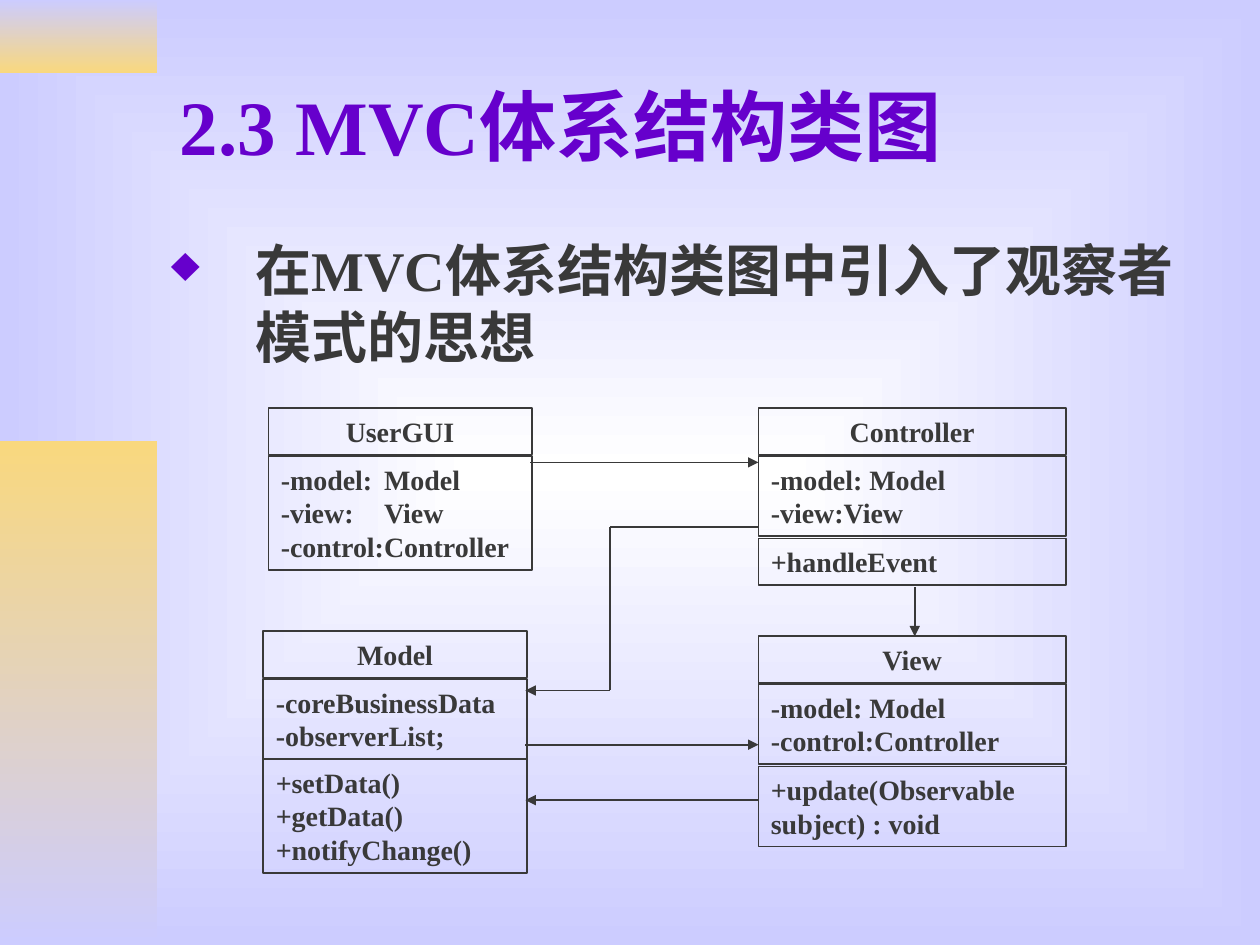
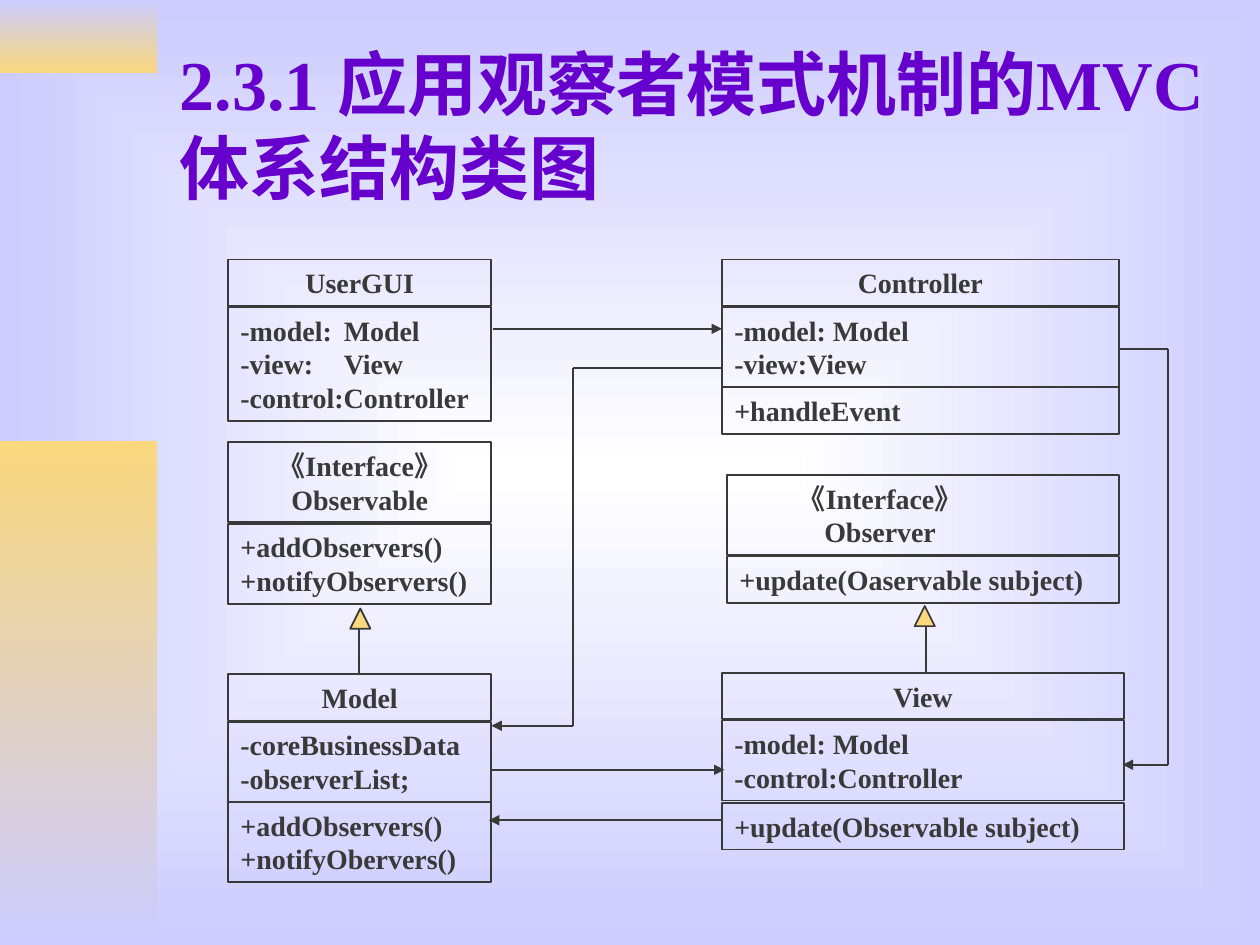
from itertools import pairwise

from lxml import etree
from pptx import Presentation
from pptx.dml.color import RGBColor
from pptx.enum.shapes import MSO_CONNECTOR, MSO_SHAPE
from pptx.enum.text import MSO_ANCHOR, PP_ALIGN
from pptx.oxml.ns import qn
from pptx.util import Inches, Pt

# Shared look
FONT = "Times New Roman"
WHITE = RGBColor(0xFF, 0xFF, 0xFF)
LAVENDER = RGBColor(0xCC, 0xCC, 0xFF)
GOLD = RGBColor(0xF9, 0xD8, 0x7E)
PURPLE = RGBColor(0x66, 0x00, 0xCC)
DARK = RGBColor(0x39, 0x39, 0x39)
LINE_WIDTH = Pt(1)

RECTANGLE = MSO_SHAPE.RECTANGLE
TRIANGLE = MSO_SHAPE.ISOSCELES_TRIANGLE
STRAIGHT = MSO_CONNECTOR.STRAIGHT
LEFT, CENTER = PP_ALIGN.LEFT, PP_ALIGN.CENTER
TOP, MIDDLE = MSO_ANCHOR.TOP, MSO_ANCHOR.MIDDLE

# Class box measures, in inches
ROW_HEIGHT = 0.268
BOX_PADDING = 0.1
HEADING_GAP = 0.01
TYPE_TAB = 0.82
ARROWHEAD_SIZE = 0.16

USER_GUI_FIELDS = ["-model:\tModel", "-view:\tView", "-control:Controller"]
CONTROLLER_FIELDS = ["-model: Model", "-view:View"]
MODEL_FIELDS = ["-coreBusinessData", "-observerList;"]
VIEW_FIELDS = ["-model: Model", "-control:Controller"]


def add_xml(parent, tag, **attributes):
    return etree.SubElement(parent, qn(tag), attributes)


def set_gradient(fill, first, last):
    fill.gradient()
    for stop, color in zip(fill.gradient_stops, (first, last)):
        stop.color.rgb = color


def add_run(paragraph, text, size, color):
    run = paragraph.add_run()
    run.text = text
    run.font.name = FONT
    run.font.size = Pt(size)
    run.font.bold = True
    run.font.color.rgb = color


def add_band(slide, top, height, first, last):
    band = slide.shapes.add_shape(
        RECTANGLE, 0, Inches(top), Inches(1.25), Inches(height))
    band.shadow.inherit = False
    band.line.fill.background()
    set_gradient(band.fill, first, last)
    band.fill.gradient_angle = 270


def set_background(slide):
    set_gradient(slide.background.fill, WHITE, LAVENDER)
    gradient = slide.element.xpath("p:cSld/p:bg//a:gradFill")[0]
    gradient.remove(gradient.find(qn("a:lin")))
    center = add_xml(gradient, "a:path", path="rect")
    add_xml(center, "a:fillToRect", l="50000", t="50000", r="50000", b="50000")


def add_text_box(slide, left, top, width, height, anchor):
    box = slide.shapes.add_textbox(
        Inches(left), Inches(top), Inches(width), Inches(height))
    box.text_frame.word_wrap = True
    box.text_frame.vertical_anchor = anchor
    return box.text_frame.paragraphs[0]


def add_base_slide(presentation, title, title_size):
    slide = presentation.slides.add_slide(presentation.slide_layouts[6])
    set_background(slide)
    add_band(slide, 0, 0.58, LAVENDER, GOLD)
    add_band(slide, 3.5, 4, GOLD, LAVENDER)
    paragraph = add_text_box(slide, 1.33, 0.33, 8.5, 1.32, MIDDLE)
    add_run(paragraph, title, title_size, PURPLE)
    return slide


def add_bullet(slide, text):
    paragraph = add_text_box(slide, 1.26, 1.82, 8.5, 1.26, TOP)
    properties = paragraph._p.get_or_add_pPr()
    indent = Inches(0.67)
    properties.set("marL", str(indent))
    properties.set("indent", str(-indent))
    bullet_color = add_xml(properties, "a:buClr")
    add_xml(bullet_color, "a:srgbClr", val=str(PURPLE))
    add_xml(properties, "a:buSzPct", val="90000")
    add_xml(properties, "a:buChar", char="♦")
    add_run(paragraph, text, 32, DARK)


def add_compartment(slide, left, top, width, lines, align=LEFT, rows=None,
                    first_line_margin=0):
    """Draw one outlined part of a class box and return its bottom edge."""
    height = BOX_PADDING + ROW_HEIGHT * (rows or len(lines))
    shape = slide.shapes.add_shape(
        RECTANGLE, Inches(left), Inches(top), Inches(width), Inches(height))
    shape.shadow.inherit = False
    shape.fill.background()
    shape.line.color.rgb = DARK
    shape.line.width = LINE_WIDTH
    frame = shape.text_frame
    frame.word_wrap = True
    frame.vertical_anchor = TOP
    for index, line in enumerate(lines):
        paragraph = frame.add_paragraph() if index else frame.paragraphs[0]
        paragraph.alignment = align
        properties = paragraph._p.get_or_add_pPr()
        if index == 0 and first_line_margin:
            properties.set("marR", str(Inches(first_line_margin)))
        if "\t" in line:
            tabs = add_xml(properties, "a:tabLst")
            add_xml(tabs, "a:tab", pos=str(Inches(TYPE_TAB)), algn="l")
        add_run(paragraph, line, 16, DARK)
    return top + height


def add_class(slide, left, top, width, heading, members, operations=(),
              operations_gap=0, operation_rows=None, first_line_margin=0):
    bottom = add_compartment(slide, left, top, width, heading, CENTER,
                             first_line_margin=first_line_margin)
    bottom = add_compartment(slide, left, bottom + HEADING_GAP, width, members)
    if operations:
        add_compartment(slide, left, bottom + operations_gap, width,
                        operations, rows=operation_rows)


def add_route(slide, *points, arrow=True):
    """Join the points with straight lines, the last one ending in an arrow."""
    for start, end in pairwise(points):
        line = slide.shapes.add_connector(
            STRAIGHT, *(Inches(value) for value in start + end))
        line.line.color.rgb = DARK
        line.line.width = LINE_WIDTH
        if arrow and end == points[-1]:
            add_xml(line.line._get_or_add_ln(), "a:tailEnd", type="triangle")
        add_xml(line._element.spPr, "a:effectLst")


def add_inheritance(slide, left, top, line_x, line_bottom):
    head = slide.shapes.add_shape(
        TRIANGLE, Inches(left), Inches(top),
        Inches(ARROWHEAD_SIZE), Inches(ARROWHEAD_SIZE))
    head.shadow.inherit = False
    head.fill.solid()
    head.fill.fore_color.rgb = GOLD
    head.line.color.rgb = DARK
    head.line.width = LINE_WIDTH
    add_route(slide, (line_x, top + ARROWHEAD_SIZE), (line_x, line_bottom),
              arrow=False)


def build_mvc_slide(presentation):
    slide = add_base_slide(presentation, "2.3 MVC体系结构类图", 44)
    add_bullet(slide, "在MVC体系结构类图中引入了观察者模式的思想")

    # Classes
    add_class(slide, 2.13, 3.24, 2.09, ["UserGUI"], USER_GUI_FIELDS)
    add_class(slide, 2.09, 5.01, 2.09, ["Model"], MODEL_FIELDS,
              ["+setData()", "+getData()", "+notifyChange()"])
    add_class(slide, 6.02, 3.24, 2.44, ["Controller"], CONTROLLER_FIELDS,
              ["+handleEvent"], operations_gap=0.02)
    add_class(slide, 6.02, 5.05, 2.44, ["View"], VIEW_FIELDS,
              ["+update(Observable subject) : void"],
              operations_gap=0.02, operation_rows=2)

    # Associations
    add_route(slide, (4.21, 3.67), (6.02, 3.67))
    add_route(slide, (7.26, 4.66), (7.26, 5.05))
    add_route(slide, (4.17, 5.91), (6.02, 5.91))
    add_route(slide, (6.02, 6.35), (4.17, 6.35))
    add_route(slide, (6.02, 4.18), (4.84, 4.18), (4.84, 5.48), (4.17, 5.48))


def build_observer_slide(presentation):
    slide = add_base_slide(
        presentation, "2.3.1 应用观察者模式机制的MVC体系结构类图", 40)

    # Classes
    add_class(slide, 1.81, 2.06, 2.09, ["UserGUI"], USER_GUI_FIELDS)
    add_class(slide, 1.81, 5.35, 2.09, ["Model"], MODEL_FIELDS,
              ["+addObservers()", "+notifyObervers()"])
    add_class(slide, 5.73, 2.06, 3.15, ["Controller"], CONTROLLER_FIELDS,
              ["+handleEvent"])
    add_class(slide, 5.73, 5.34, 3.19, ["View"], VIEW_FIELDS,
              ["+update(Observable subject)"], operations_gap=0.02)

    # Interfaces
    add_class(slide, 1.81, 3.51, 2.09, ["《Interface》", "Observable"],
              ["+addObservers()", "+notifyObservers()"])
    add_class(slide, 5.77, 3.77, 3.11, ["《Interface》", "Observer"],
              ["+update(Oaservable subject)"], first_line_margin=0.68)
    add_inheritance(slide, 2.78, 4.83, 2.85, 5.35)
    add_inheritance(slide, 7.26, 4.81, 7.35, 5.33)

    # Associations
    add_route(slide, (3.91, 2.61), (5.73, 2.61))
    add_route(slide, (3.9, 6.11), (5.75, 6.11))
    add_route(slide, (5.73, 6.51), (3.88, 6.51))
    add_route(slide, (5.73, 2.92), (4.55, 2.92), (4.55, 5.76), (3.9, 5.76))
    add_route(slide, (8.88, 2.77), (9.27, 2.77), (9.27, 6.07), (8.91, 6.07))


def main():
    presentation = Presentation()
    presentation.slide_width = Inches(10)
    presentation.slide_height = Inches(7.5)
    build_mvc_slide(presentation)
    build_observer_slide(presentation)
    presentation.save("out.pptx")


if __name__ == "__main__":
    main()
